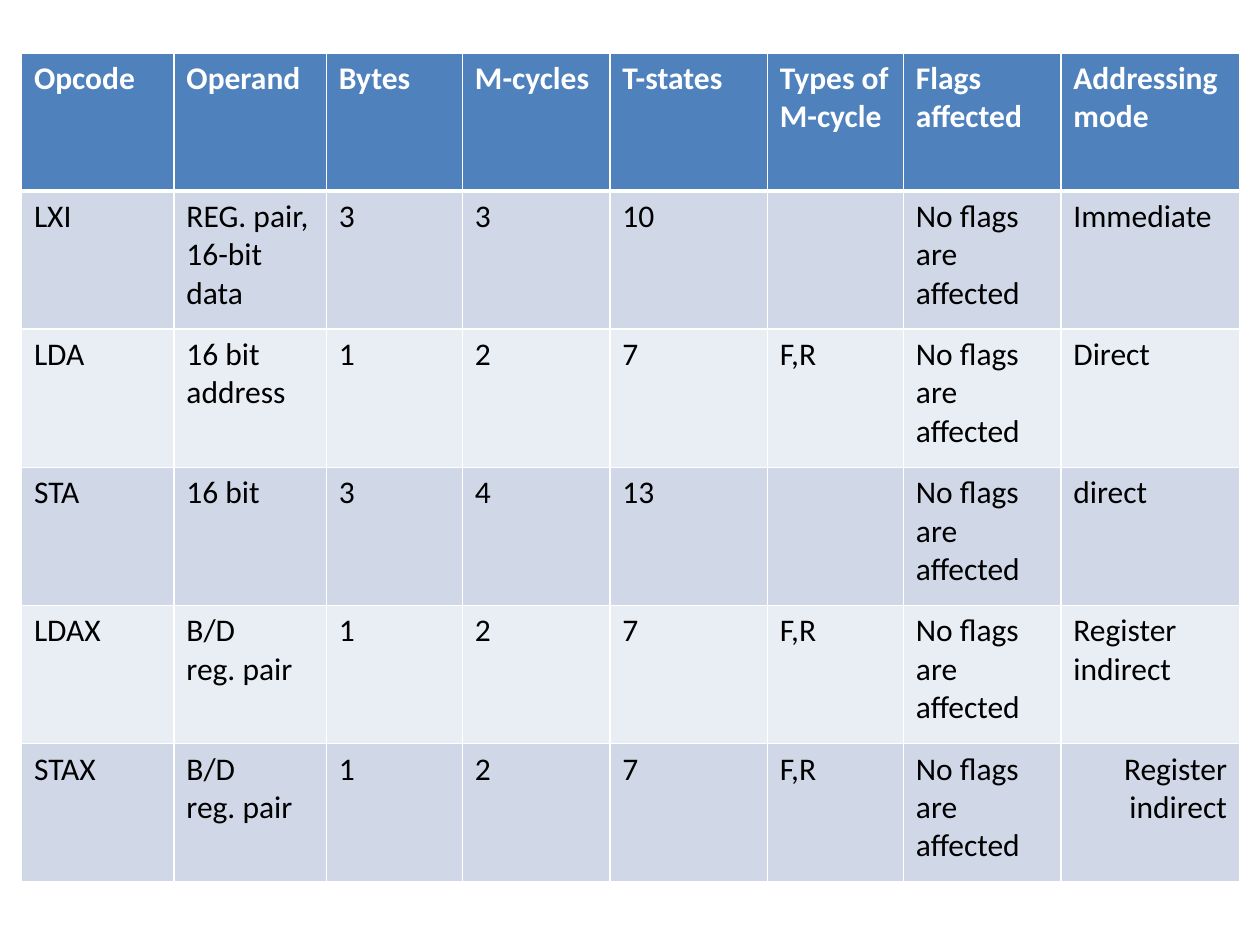
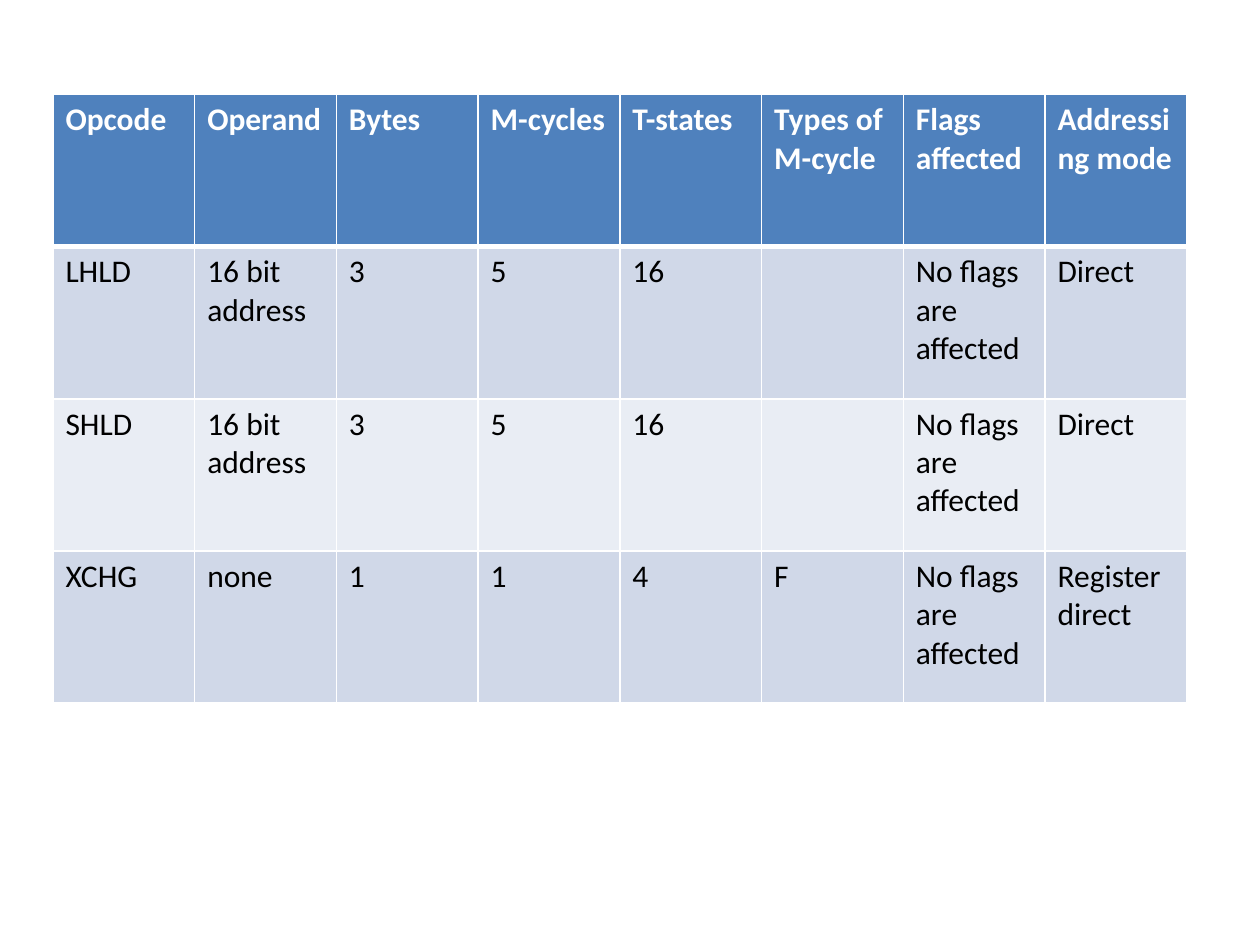
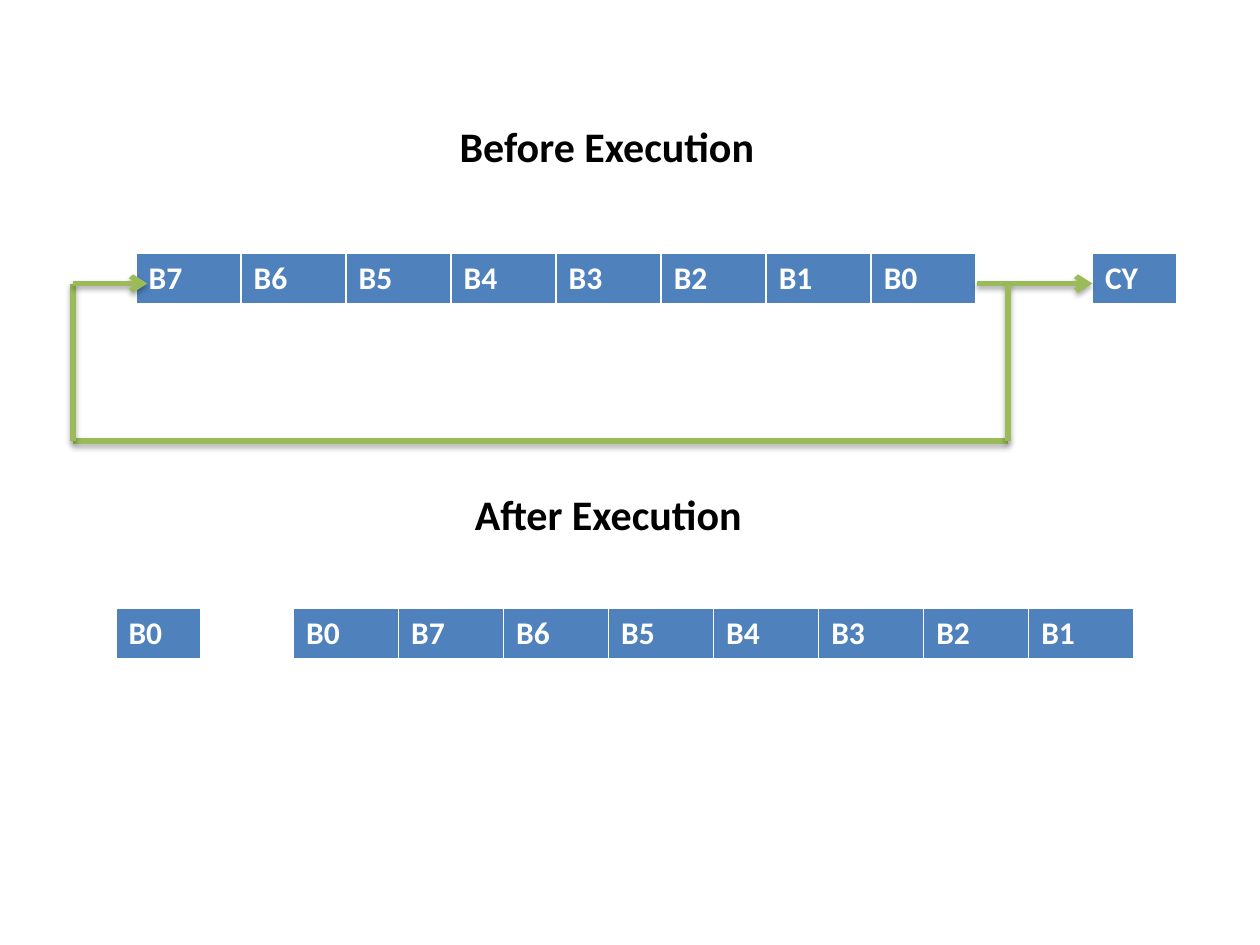
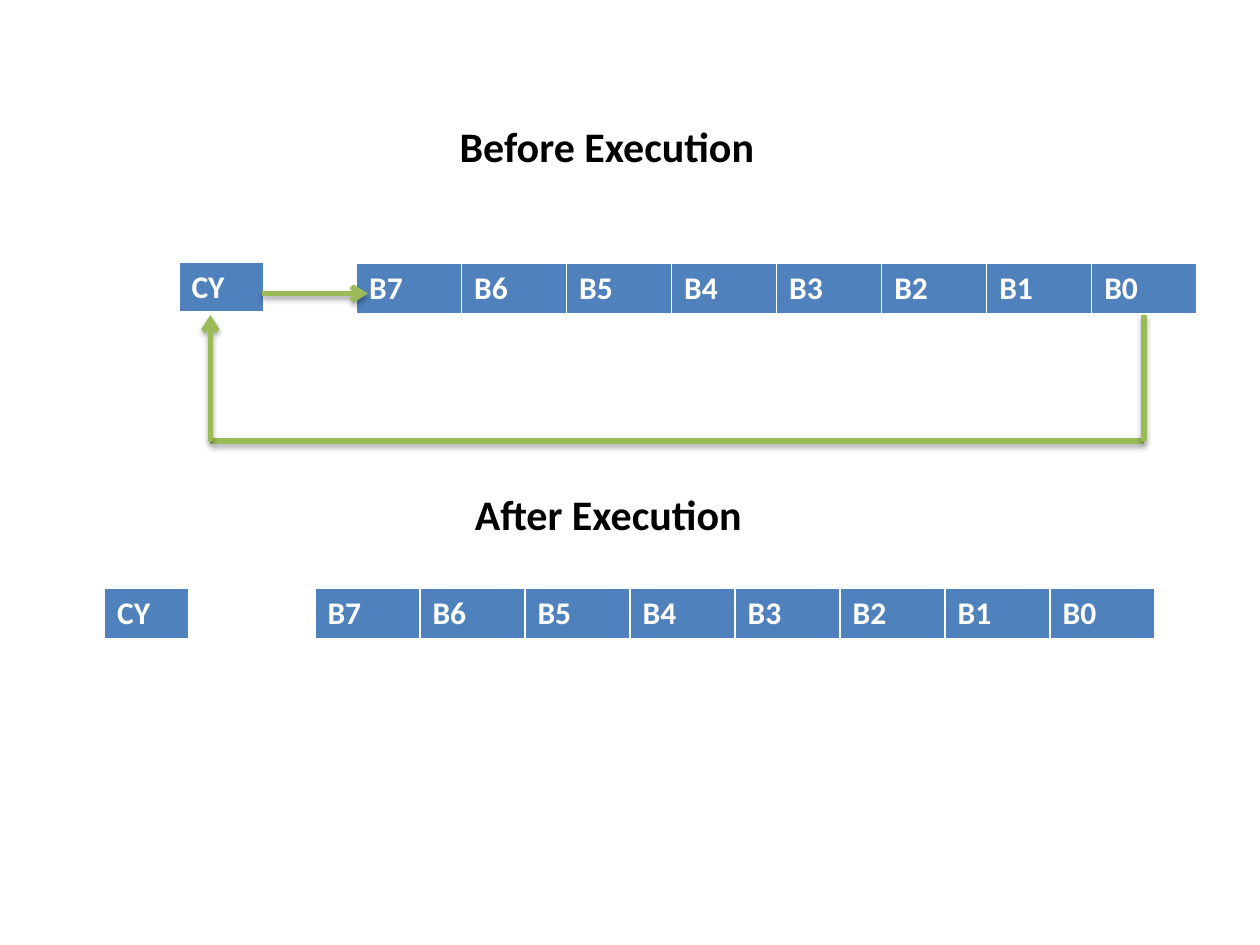
from lxml import etree
from pptx import Presentation
from pptx.dml.color import RGBColor
from pptx.enum.shapes import MSO_CONNECTOR
from pptx.enum.text import MSO_AUTO_SIZE, PP_ALIGN
from pptx.oxml import parse_xml
from pptx.oxml.ns import nsdecls, qn
from pptx.util import Inches, Pt

STRAIGHT = MSO_CONNECTOR.STRAIGHT
LEFT, RIGHT = PP_ALIGN.LEFT, PP_ALIGN.RIGHT
FIT_SHAPE = MSO_AUTO_SIZE.SHAPE_TO_FIT_TEXT

FONT = "Calibri"
WHITE = RGBColor(0xFF, 0xFF, 0xFF)
BLACK = RGBColor(0x00, 0x00, 0x00)
BLUE = RGBColor(0x4F, 0x81, 0xBD)
BAND_DARK = RGBColor(0xD0, 0xD8, 0xE8)
BAND_LIGHT = RGBColor(0xE9, 0xED, 0xF4)
GREEN = RGBColor(0x9B, 0xBB, 0x59)

SHADOW = f"""<a:effectLst {nsdecls("a")}>
  <a:outerShdw blurRad="40000" dist="23000" dir="5400000" rotWithShape="0">
    <a:srgbClr val="000000"><a:alpha val="35000"/></a:srgbClr>
  </a:outerShdw>
</a:effectLst>"""

HEADER = ["Opcode", "Operand", "Bytes", "M-cycles", "T-states",
          "Types of M-cycle", "Flags affected", "Addressing mode"]
NO_FLAGS = "No flags are affected"
BITS = ["B7", "B6", "B5", "B4", "B3", "B2", "B1", "B0"]
ROTATED_BITS = BITS[-1:] + BITS[:-1]
BIT_WIDTHS = [6.67 / 8] * 8
CARRY_WIDTHS = [0.67]
REGISTER_HEIGHT = 0.41


def write_text(frame, text, size=18, color=BLACK, bold=False, align=LEFT):
    """Write each line of the text as a paragraph."""
    for index, line in enumerate(text.split("\n")):
        para = frame.paragraphs[0] if index == 0 else frame.add_paragraph()
        para.alignment = align
        span = para.add_run()
        span.text = line
        span.font.name = FONT
        span.font.size = Pt(size)
        span.font.bold = bold
        span.font.color.rgb = color


def add_grid(page, left, top, widths, row_height, rows):
    """Add a table with a blue first row, banded rows and white rules."""
    table = page.shapes.add_table(
        len(rows), len(widths), Inches(left), Inches(top),
        Inches(sum(widths)), Inches(row_height * len(rows))).table
    table.horz_banding = False
    for column, width in zip(table.columns, widths):
        column.width = Inches(width)
    for row_index, texts in enumerate(rows):
        table.rows[row_index].height = Inches(row_height)
        is_header = row_index == 0
        band = BAND_DARK if row_index % 2 else BAND_LIGHT
        rules = {"lnL": 1, "lnR": 1, "lnT": 3 if row_index == 1 else 1,
                 "lnB": 3 if is_header else 1}
        for column_index, text in enumerate(texts):
            cell = table.cell(row_index, column_index)
            properties = cell._tc.get_or_add_tcPr()
            for side, points in rules.items():
                rule = etree.SubElement(properties, qn(f"a:{side}"), w=str(Pt(points)))
                fill = etree.SubElement(rule, qn("a:solidFill"))
                etree.SubElement(fill, qn("a:srgbClr"), val=str(WHITE))
            cell.fill.solid()
            cell.fill.fore_color.rgb = BLUE if is_header else band
            if text:
                write_text(cell.text_frame, text, bold=is_header,
                           color=WHITE if is_header else BLACK,
                           align=RIGHT if text == "Register\nindirect" else LEFT)
    return table


deck = Presentation()
deck.slide_width = Inches(10)
deck.slide_height = Inches(7.5)
blank = deck.slide_layouts[6]

# Slide 1: load and store instructions
page = deck.slides.add_slide(blank)
add_grid(page, 0.17, 0.42, [1.21, 1.21, 1.08, 1.17, 1.25, 1.08, 1.25, 1.42], 6.58 / 6, [
    HEADER,
    ["LXI", "REG. pair,\n16-bit data", "3", "3", "10", "", NO_FLAGS, "Immediate"],
    ["LDA", "16 bit address", "1", "2", "7", "F,R", NO_FLAGS, "Direct"],
    ["STA", "16 bit", "3", "4", "13", "", NO_FLAGS, "direct"],
    ["LDAX", "B/D\nreg. pair", "1", "2", "7", "F,R", NO_FLAGS, "Register indirect"],
    ["STAX", "B/D\nreg. pair", "1", "2", "7", "F,R", NO_FLAGS, "Register\nindirect"],
])

# Slide 2: HL pair instructions
page = deck.slides.add_slide(blank)
add_grid(page, 0.42, 0.75, [9 / 8] * 8, 4.83 / 4, [
    HEADER,
    ["LHLD", "16 bit address", "3", "5", "16", "", NO_FLAGS, "Direct"],
    ["SHLD", "16 bit address", "3", "5", "16", "", NO_FLAGS, "Direct"],
    ["XCHG", "none", "1", "1", "4", "F", NO_FLAGS, "Register direct"],
])

# Slides 3 and 4: rotate right, without and through the carry
# Registers: left, top, widths, bits. Wires: start x, y, end x, y, has arrow.
rotations = [
    {
        "registers": [
            (1.08, 2.01, BIT_WIDTHS, BITS),
            (2.33, 4.83, BIT_WIDTHS, ROTATED_BITS),
            (8.67, 2.01, CARRY_WIDTHS, ["CY"]),
            (0.92, 4.83, CARRY_WIDTHS, ["B0"]),
        ],
        "wires": [
            (0.58, 3.5, 8, 3.5, False),
            (7.75, 2.25, 8.67, 2.25, True),
            (0.58, 2.25, 0.58, 3.5, False),
            (8, 2.25, 8, 3.5, False),
            (0.58, 2.25, 1.17, 2.25, True),
        ],
    },
    {
        "registers": [
            (2.83, 2.09, BIT_WIDTHS, BITS),
            (2.5, 4.67, BIT_WIDTHS, BITS),
            (1.42, 2.08, CARRY_WIDTHS, ["CY"]),
            (0.83, 4.67, CARRY_WIDTHS, ["CY"]),
        ],
        "wires": [
            (1.67, 3.5, 9.08, 3.5, False),
            (9.08, 2.5, 9.08, 3.5, False),
            (1.67, 3.5, 1.67, 2.5, True),
            (2.08, 2.33, 2.92, 2.33, True),
        ],
    },
]
headings = [("Before Execution", 3.55, 0.91, 3.28), ("After Execution", 3.67, 3.83, 2.92)]

for rotation in rotations:
    page = deck.slides.add_slide(blank)
    for left, top, widths, bits in rotation["registers"]:
        add_grid(page, left, top, widths, REGISTER_HEIGHT, [bits])
    for heading, left, top, width in headings:
        box = page.shapes.add_textbox(Inches(left), Inches(top), Inches(width), Inches(0.5))
        box.text_frame.word_wrap = True
        box.text_frame.auto_size = FIT_SHAPE
        write_text(box.text_frame, heading, size=24, bold=True)
    for start_x, start_y, end_x, end_y, has_arrow in rotation["wires"]:
        wire = page.shapes.add_connector(
            STRAIGHT, Inches(start_x), Inches(start_y), Inches(end_x), Inches(end_y))
        wire.line.color.rgb = GREEN
        wire.line.width = Pt(3)
        properties = wire.element.spPr
        if has_arrow:
            etree.SubElement(properties.find(qn("a:ln")), qn("a:tailEnd"), type="arrow")
        properties.append(parse_xml(SHADOW))

deck.save("out.pptx")
